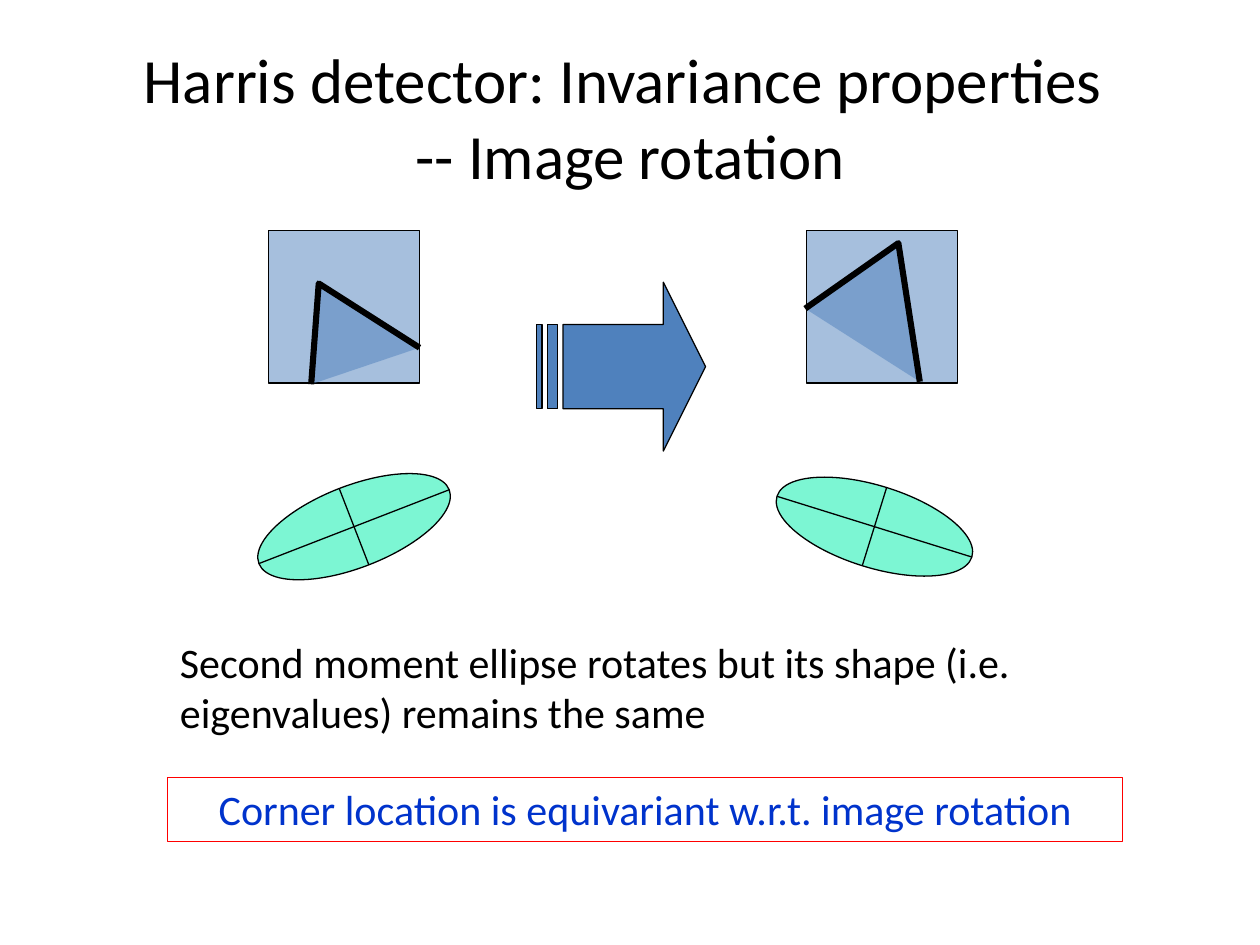
"""Build a slide on how the Harris detector behaves under image rotation."""
import math

import pptx
import pptx.dml.color
import pptx.enum.shapes
import pptx.enum.text
import pptx.oxml.ns
import pptx.util
from lxml import etree
from pptx.util import Inches

RGB = pptx.dml.color.RGBColor.from_string
SHAPES = pptx.enum.shapes.MSO_SHAPE
ALIGN = pptx.enum.text.PP_ALIGN
ANCHOR = pptx.enum.text.MSO_ANCHOR

THEME = {
    "font": "Calibri",
    "title": pptx.util.Pt(36),
    "body": pptx.util.Pt(24),
    "hairline": pptx.util.Pt(0.75),
    "edge": pptx.util.Pt(3.5),
    "ink": RGB("000000"),
    "blue": RGB("4F81BD"),
    "mint": RGB("7CF6D3"),
    "red": RGB("FF0000"),
    "conclusion": RGB("0033CC"),
}


def paint(shape, fill, width, alpha=None):
    shape.shadow.inherit = False
    shape.fill.solid()
    shape.fill.fore_color.rgb = THEME[fill]
    shape.line.color.rgb = THEME["ink"]
    shape.line.width = THEME[width]
    if alpha:
        color = shape.fill._xPr.find(".//" + pptx.oxml.ns.qn("a:srgbClr"))
        etree.SubElement(color, pptx.oxml.ns.qn("a:alpha"), val=str(alpha * 1000))


def write(shape, text, size, color, align, anchor):
    frame = shape.text_frame
    frame.text = text
    for name, value in {"word_wrap": True, "vertical_anchor": anchor}.items():
        setattr(frame, name, value)
    paragraph = frame.paragraphs[0]
    paragraph.alignment = align
    for run in paragraph.runs:
        font_format = {"name": THEME["font"], "size": THEME[size]}
        for name, value in font_format.items():
            setattr(run.font, name, value)
        run.font.color.rgb = THEME[color]


presentation = pptx.Presentation()
presentation.slide_width, presentation.slide_height = Inches(10), Inches(7.5)
slide = presentation.slides.add_slide(presentation.slide_layouts[5])

heading = slide.shapes.title
heading_place = {"left": 0.5, "top": 0.3, "width": 9, "height": 1.25}
for name, value in heading_place.items():
    setattr(heading, name, Inches(value))
write(heading, "Harris detector: Invariance properties \v-- Image rotation",
      "title", "ink", ALIGN.CENTER, ANCHOR.MIDDLE)

explanation = slide.shapes.add_textbox(Inches(1.33), Inches(5), Inches(7.33), Inches(0.91))
write(explanation,
      "Second moment ellipse rotates but its shape (i.e. eigenvalues) remains the same",
      "body", "ink", ALIGN.LEFT, ANCHOR.TOP)

corners = [
    (2.13, [(2.47, 3.05), (2.53, 2.25), (3.33, 2.76)]),
    (6.4, [(6.39, 2.45), (7.13, 1.93), (7.3, 3.03)]),
]
for left, points in corners:
    patch = slide.shapes.add_shape(
        SHAPES.RECTANGLE, Inches(left), Inches(1.83), Inches(1.2), Inches(1.21))
    paint(patch, "blue", "hairline", 50)
    start, *rest = [(Inches(x), Inches(y)) for x, y in points]
    outline = slide.shapes.build_freeform(*start)
    outline.add_line_segments(rest, close=False)
    paint(outline.convert_to_shape(), "blue", "edge", 50)

rotation_arrow = slide.shapes.add_shape(
    SHAPES.STRIPED_RIGHT_ARROW, Inches(4.26), Inches(2.24), Inches(1.34), Inches(1.34))
rotation_arrow.adjustments[0] = 0.5
rotation_arrow.adjustments[1] = 0.25
paint(rotation_arrow, "blue", "hairline")

major, minor, center_y = 0.81, 0.325, 4.18
for center_x, angle in [(2.81, -21.2), (6.94, 17.3)]:
    moment_ellipse = slide.shapes.add_shape(
        SHAPES.OVAL, Inches(center_x - major), Inches(center_y - minor),
        Inches(2 * major), Inches(2 * minor))
    moment_ellipse.rotation = angle
    paint(moment_ellipse, "mint", "hairline")
    for radius, turn in [(major, angle), (minor, angle + 90)]:
        dx = radius * math.cos(math.radians(turn))
        dy = radius * math.sin(math.radians(turn))
        axis = slide.shapes.add_connector(
            pptx.enum.shapes.MSO_CONNECTOR.STRAIGHT,
            Inches(center_x - dx), Inches(center_y - dy),
            Inches(center_x + dx), Inches(center_y + dy))
        axis.line.color.rgb = THEME["ink"]
        axis.line.width = THEME["hairline"]
        etree.SubElement(axis._element.spPr, pptx.oxml.ns.qn("a:effectLst"))

conclusion = slide.shapes.add_textbox(Inches(1.33), Inches(6.17), Inches(7.58), Inches(0.51))
conclusion.line.color.rgb = THEME["red"]
conclusion.line.width = THEME["hairline"]
write(conclusion, "Corner location is equivariant w.r.t. image rotation",
      "body", "conclusion", ALIGN.CENTER, ANCHOR.TOP)

presentation.save("out.pptx")
